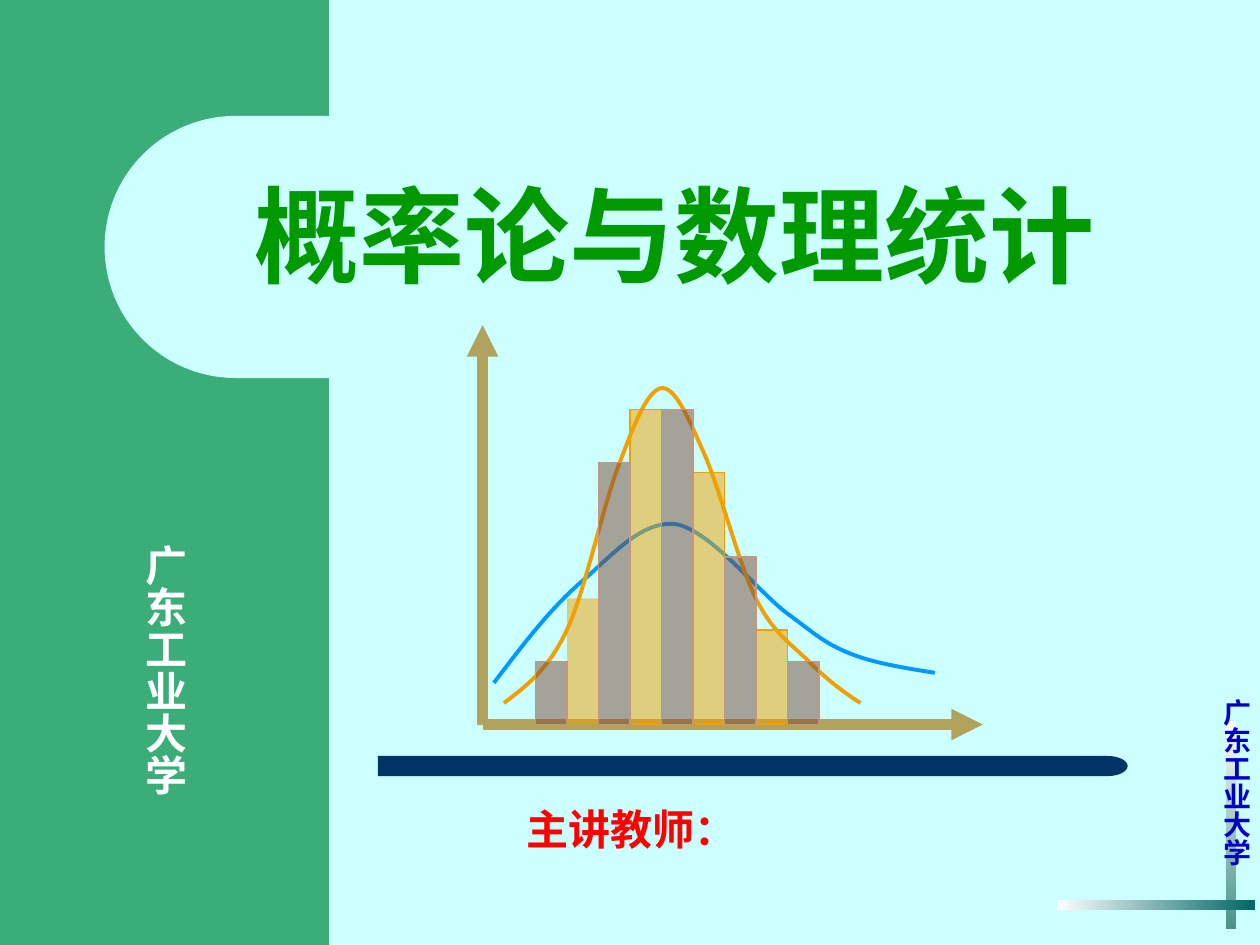
from lxml import etree
from pptx import Presentation
from pptx.dml.color import RGBColor
from pptx.enum.shapes import MSO_CONNECTOR, MSO_SHAPE
from pptx.enum.text import MSO_ANCHOR, MSO_AUTO_SIZE, PP_ALIGN
from pptx.oxml.ns import qn
from pptx.util import Inches, Pt

RECTANGLE = MSO_SHAPE.RECTANGLE
ROUNDED = MSO_SHAPE.ROUNDED_RECTANGLE
DELAY = MSO_SHAPE.FLOWCHART_DELAY
STRAIGHT = MSO_CONNECTOR.STRAIGHT
LEFT = PP_ALIGN.LEFT
MIDDLE = MSO_ANCHOR.MIDDLE
GROW = MSO_AUTO_SIZE.SHAPE_TO_FIT_TEXT

COLORS = {
    "background": "CCFFFF", "panel": "3BAD79", "rule": "003366",
    "axis": "B1A35D", "blue": "0099FF", "gold": "F0A000",
    "brown": "7C4836", "brown_edge": "C89380", "white": "FFFFFF",
    "teal": "006666", "sage": "489486", "title": "009900",
    "teacher": "FF0000", "school": "0000CC",
}
SCHOOL = "广东工业大学"
BASELINE = 5.75
BAR_WIDTH = 0.25
FIRST_BAR = 4.25
BAR_HEIGHTS = [0.5, 1, 2.08, 2.5, 2.5, 2, 1.33, 0.75, 0.5]
UNITS_PER_INCH = 1000

LOW_CURVE = [
    (3.92, 5.42), (4.14, 5.13), (4.36, 4.84), (4.6, 4.63),
    (4.84, 4.43), (5.08, 4.13), (5.36, 4.16),
    (5.63, 4.2), (6.02, 4.7), (6.25, 4.87),
    (6.48, 5.04), (6.54, 5.1), (6.73, 5.18),
    (6.92, 5.26), (7.17, 5.3), (7.42, 5.34),
]
HIGH_CURVE = [
    (4, 5.58), (4.17, 5.45), (4.35, 5.32), (4.5, 5),
    (4.65, 4.68), (4.79, 3.99), (4.92, 3.67),
    (5.04, 3.35), (5.14, 3.1), (5.25, 3.08),
    (5.36, 3.07), (5.46, 3.31), (5.58, 3.58),
    (5.71, 3.86), (5.86, 4.47), (6, 4.75),
    (6.14, 5.03), (6.28, 5.11), (6.42, 5.25),
    (6.56, 5.39), (6.69, 5.49), (6.83, 5.58),
]


def color(name):
    return RGBColor.from_string(COLORS[name])


class SlideBuilder:
    def __init__(self, slide):
        self.slide = slide
        slide.background.fill.solid()
        slide.background.fill.fore_color.rgb = color("background")

    def shape(self, box, fill, kind=RECTANGLE, line=None, alpha=None):
        shape = self.slide.shapes.add_shape(kind, *map(Inches, box))
        shape.shadow.inherit = False
        shape.fill.solid()
        shape.fill.fore_color.rgb = color(fill)
        if alpha:
            element = shape.element.spPr.find(qn("a:solidFill"))[0]
            etree.SubElement(element, qn("a:alpha")).set("val", str(alpha * 1000))
        if line:
            shape.line.color.rgb = color(line)
            shape.line.width = Pt(0.75)
        else:
            shape.line.fill.background()
        return shape

    def gradient(self, box, end, angle=0):
        fill = self.shape(box, "white").fill
        fill.gradient()
        fill.gradient_angle = angle
        for stop, name in zip(fill.gradient_stops, ("white", end)):
            stop.color.rgb = color(name)

    def arrow(self, start, end):
        connector = self.slide.shapes.add_connector(STRAIGHT, *map(Inches, start + end))
        connector.line.color.rgb = color("axis")
        connector.line.width = Pt(6)
        properties = connector.element.spPr
        outline = properties.find(qn("a:ln"))
        etree.SubElement(outline, qn("a:tailEnd")).set("type", "triangle")
        etree.SubElement(properties, qn("a:effectLst"))

    def curve(self, controls, line):
        points = [(x * UNITS_PER_INCH, y * UNITS_PER_INCH) for x, y in controls]
        builder = self.slide.shapes.build_freeform(*points[0], scale=Inches(1) / UNITS_PER_INCH)
        builder.add_line_segments(points[1:], close=False)
        shape = builder.convert_to_shape()
        segments = list(shape.element.spPr.iter(qn("a:lnTo")))
        outline = segments[0].getparent()
        for start in range(0, len(segments), 3):
            bezier = etree.SubElement(outline, qn("a:cubicBezTo"))
            for segment in segments[start:start + 3]:
                bezier.append(segment[0])
                outline.remove(segment)
        shape.shadow.inherit = False
        shape.fill.background()
        shape.line.color.rgb = color(line)
        shape.line.width = Pt(2.25)

    def format_text(self, text_frame, text, size, font, fill):
        text_frame.text = text
        paragraph = text_frame.paragraphs[0]
        paragraph.alignment = LEFT
        run_font = paragraph.runs[0].font
        run_font.name, run_font.size, run_font.bold = font, Pt(size), True
        run_font.color.rgb = color(fill)
        return paragraph

    def text(self, box, text, size, font, fill, vertical=False, wrap=True):
        text_frame = self.slide.shapes.add_textbox(*map(Inches, box)).text_frame
        text_frame.word_wrap = wrap
        text_frame.auto_size = GROW
        if vertical:
            text_frame.margin_left = text_frame.margin_right = Inches(0.05)
            text_frame.margin_top = text_frame.margin_bottom = Inches(0.1)
            text_frame._txBody.bodyPr.set("vert", "eaVert")
        self.format_text(text_frame, text, size, font, fill)

    def title(self, box, text):
        title = self.slide.shapes.title
        title.left, title.top, title.width, title.height = map(Inches, box)
        title.text_frame.vertical_anchor = MIDDLE
        paragraph = self.format_text(title.text_frame, text, 60, "Arial", "title")
        paragraph.line_spacing = 0.9
        tree = title.element.getparent()
        tree.append(title.element)

    def bars(self, parity, fill, line):
        for index, height in enumerate(BAR_HEIGHTS):
            if index % 2 == parity:
                box = (FIRST_BAR + index * BAR_WIDTH, BASELINE - height, BAR_WIDTH, height)
                edge = None if index == 1 else line
                self.shape(box, fill, line=edge, alpha=50)


def main():
    presentation = Presentation()
    presentation.slide_width, presentation.slide_height = Inches(10), Inches(7.5)
    slide = presentation.slides.add_slide(presentation.slide_layouts[5])
    builder = SlideBuilder(slide)

    builder.gradient((9.73, 5.72, 0.08, 1.65), "sage", angle=270)
    builder.gradient((8.39, 7.14, 1.57, 0.08), "teal")
    builder.text((9.54, 5.45, 0.46, 1.43), SCHOOL, 16, "Times New Roman", "school",
                 vertical=True, wrap=False)

    origin = (3.83, BASELINE)
    builder.arrow(origin, (3.83, 2.58))
    builder.arrow(origin, (7.8, BASELINE))
    builder.curve(LOW_CURVE, "blue")
    builder.curve(HIGH_CURVE, "gold")
    builder.bars(1, "gold", "gold")
    builder.bars(0, "brown", "brown_edge")

    builder.shape((0, 0, 2.61, 7.5), "panel")
    builder.shape((3, 6, 5.64, 0.16), "rule")
    builder.shape((8.63, 6, 0.32, 0.16), "rule", DELAY)
    builder.text((0.35, 4.22, 1.21, 2.29), SCHOOL, 24, "Arial", "white", vertical=True)
    builder.text((4.08, 6.33, 3.03, 0.5), "主讲教师：", 24, "Times New Roman", "teacher")
    notch = builder.shape((0.83, 0.92, 2.95, 2.08), "background", ROUNDED)
    notch.adjustments[0] = 0.5
    builder.title((1.92, 1.33, 7.33, 1.17), "概率论与数理统计")

    presentation.save("out.pptx")


if __name__ == "__main__":
    main()
